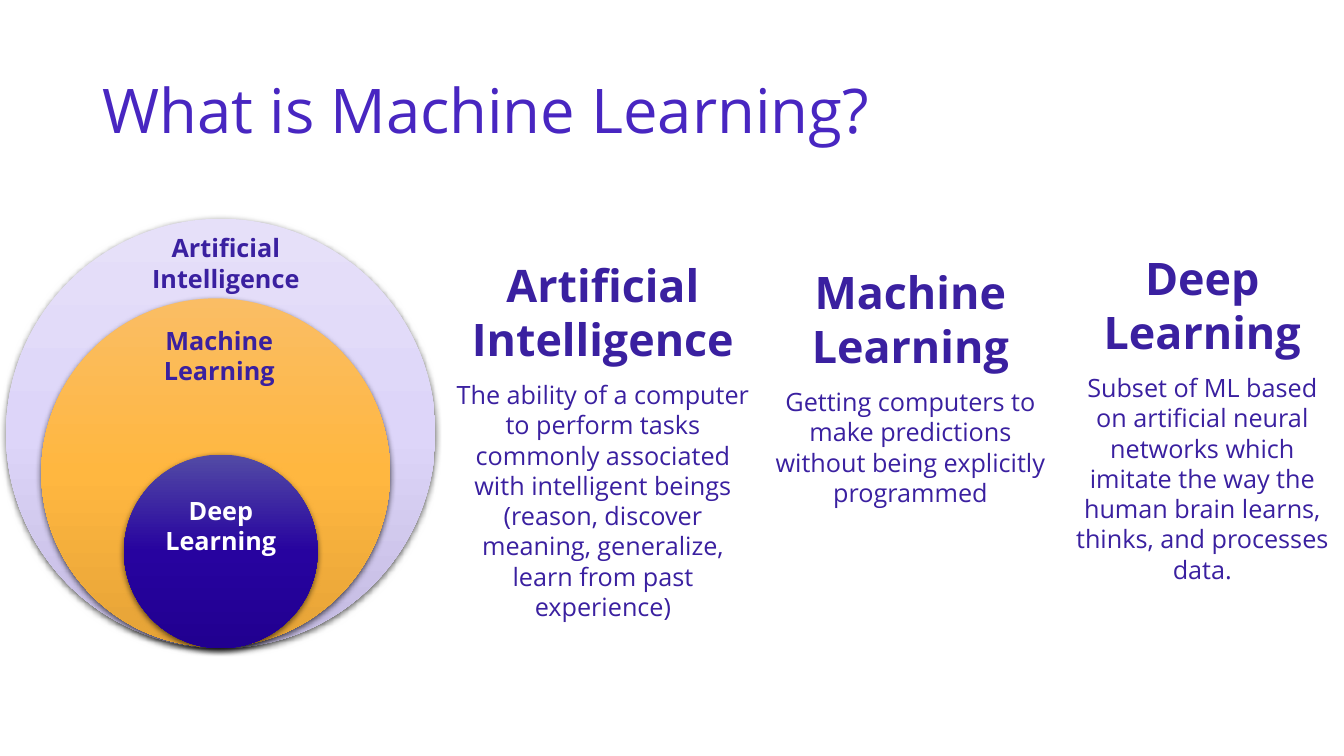
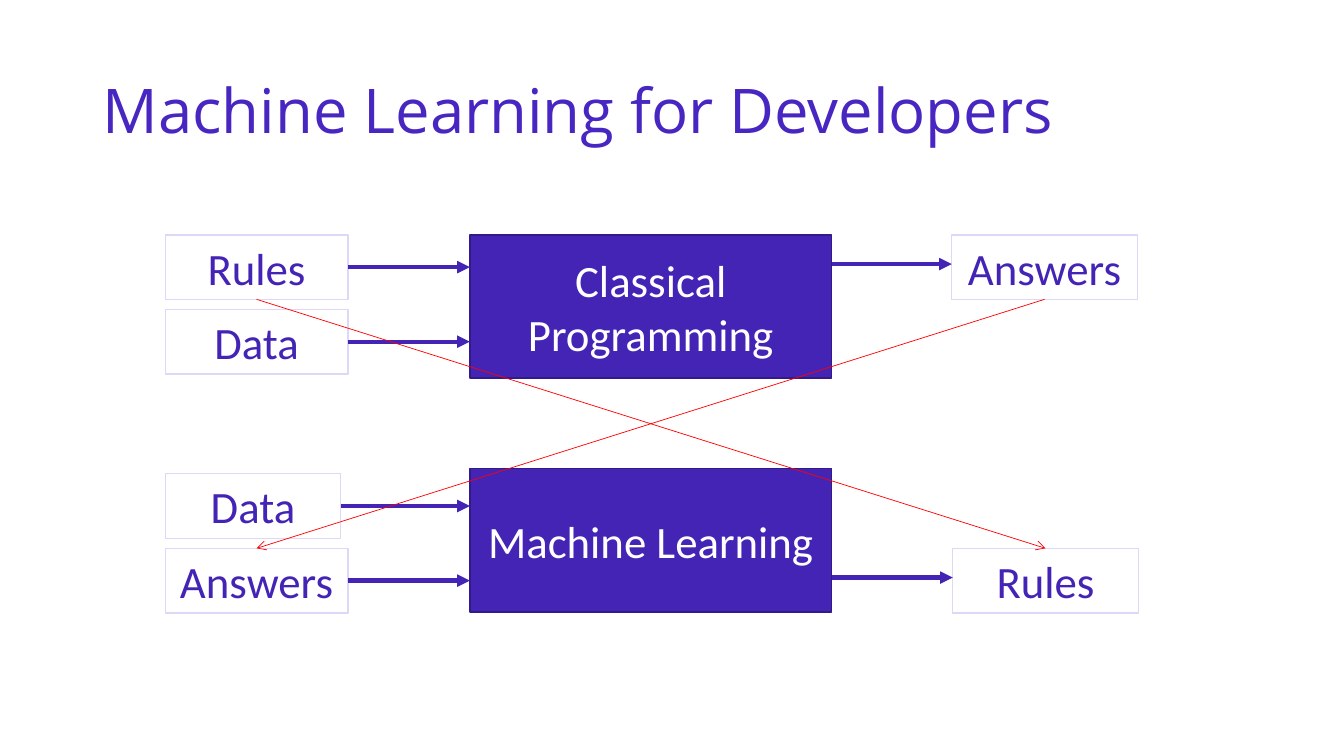
from lxml.etree import SubElement
from pptx import Presentation
from pptx.dml.color import RGBColor
from pptx.enum.shapes import MSO_CONNECTOR, MSO_SHAPE
from pptx.enum.text import MSO_ANCHOR, MSO_AUTO_SIZE, PP_ALIGN
from pptx.oxml import parse_xml
from pptx.oxml.ns import nsdecls, qn
from pptx.util import Pt

PX = 9144  # EMU per px, 100 px to the inch

COLORS = {
    "title": "4826C1", "ink": "3A20A0", "white": "FFFFFF",
    "violet": "4424B5", "violet_edge": "321B86", "pale_edge": "DED7F7",
    "swap": "FF0000", "shadow": "000000",
}
# Gradient stops at the top, middle and bottom of each circle
GRADIENTS = {
    "lavender": ("E6E0F9", "DDD5F9", "C3BAE0"),
    "amber": ("FABD64", "FFB740", "E5A337"),
    "indigo": ("534BA5", "27039F", "210090"),
}
# Per style: colour, font values, paragraph values
CENTER = {"alignment": PP_ALIGN.CENTER}
SPACED = {**CENTER, "space_after": Pt(10)}
BOLD_18 = {"name": "Open Sans", "size": Pt(18), "bold": True}
BOX_FONT = {"name": "Calibri", "size": Pt(32)}
TEXT_STYLES = {
    "title": ("title", {"name": "Open Sans", "size": Pt(44)},
              {"alignment": PP_ALIGN.LEFT, "line_spacing": 0.9}),
    "label": ("ink", BOLD_18, CENTER),
    "light_label": ("white", BOLD_18, CENTER),
    "heading": ("ink", {**BOLD_18, "size": Pt(32)}, SPACED),
    "definition": ("ink", {**BOLD_18, "bold": False}, SPACED),
    "process": ("white", BOX_FONT, CENTER),
    "value": ("violet", BOX_FONT, CENTER),
}
BOX_STYLES = {"process": ("violet", "violet_edge"), "value": ("white", "pale_edge")}
# Per style: colour, width in points, arrowhead
ARROW_STYLES = {"flow": ("violet", 3, "triangle"), "swap": ("swap", 0.5, "arrow")}
TOP, BOTTOM, RIGHT = 0, 2, 3  # connection sites of a rectangle


def rgb(color):
    return RGBColor.from_string(COLORS[color])


def apply(target, values):
    for attribute, value in values.items():
        setattr(target, attribute, value)


class Deck:
    """Holds the presentation, its style and the current slide."""

    def __init__(self):
        self.prs = Presentation()
        apply(self.prs, {"slide_width": 1333 * PX, "slide_height": 750 * PX})

    def new_slide(self, title):
        layout = self.prs.slide_layouts.get_by_name("Title Only")
        self.slide = self.prs.slides.add_slide(layout)
        heading = self.slide.shapes.title
        frame = {"left": 92, "top": 40, "width": 1150, "height": 145}
        apply(heading, {side: length * PX for side, length in frame.items()})
        self.fill_text(heading, [(title, "title")], MSO_ANCHOR.MIDDLE)

    def fill_text(self, shape, lines, anchor=MSO_ANCHOR.TOP):
        frame = shape.text_frame
        apply(frame, {"word_wrap": True, "auto_size": MSO_AUTO_SIZE.NONE,
                      "vertical_anchor": anchor})
        for index, (text, style) in enumerate(lines):
            color, font, layout = TEXT_STYLES[style]
            paragraph = frame.add_paragraph() if index else frame.paragraphs[0]
            apply(paragraph, layout)
            run = paragraph.add_run()
            run.text = text
            apply(run.font, font)
            run.font.color.rgb = rgb(color)

    def text(self, x, y, width, height, lines):
        box = self.slide.shapes.add_textbox(x * PX, y * PX, width * PX, height * PX)
        self.fill_text(box, lines)

    def shape(self, kind, x, y, width, height):
        shape = self.slide.shapes.add_shape(
            kind, x * PX, y * PX, width * PX, height * PX)
        shape.shadow.inherit = False
        return shape

    def box(self, x, y, width, height, text, style):
        box = self.shape(MSO_SHAPE.RECTANGLE, x, y, width, height)
        fill, edge = BOX_STYLES[style]
        box.fill.solid()
        box.fill.fore_color.rgb = rgb(fill)
        box.line.color.rgb = rgb(edge)
        box.line.width = Pt(1)
        self.fill_text(box, [(text, style)], MSO_ANCHOR.MIDDLE)
        return box

    def circle(self, center, bottom, diameter, gradient):
        circle = self.shape(MSO_SHAPE.OVAL, center - diameter // 2,
                            bottom - diameter, diameter, diameter)
        circle.line.fill.background()
        # Three-stop gradient, running downwards
        circle.fill.gradient()
        circle.fill.gradient_angle = 270
        properties = circle.element.spPr
        stop_list = properties.find(qn("a:gradFill")).find(qn("a:gsLst"))
        for stop in list(stop_list):
            stop_list.remove(stop)
        for position, color in zip((0, 50000, 100000), GRADIENTS[gradient]):
            stop = SubElement(stop_list, qn("a:gs"), pos=str(position))
            SubElement(stop, qn("a:srgbClr"), val=color)
        # Soft shadow below
        properties.find(qn("a:effectLst")).append(parse_xml(
            f'<a:outerShdw {nsdecls("a")} blurRad="{Pt(4.5)}" dist="{Pt(1.5)}" '
            f'dir="5400000" rotWithShape="0"><a:srgbClr val="{COLORS["shadow"]}">'
            '<a:alpha val="63000"/></a:srgbClr></a:outerShdw>'))

    def arrow(self, start, end, style):
        points = [length * PX for length in (*start, *end)]
        arrow = self.slide.shapes.add_connector(MSO_CONNECTOR.STRAIGHT, *points)
        color, width, head = ARROW_STYLES[style]
        arrow.line.color.rgb = rgb(color)
        arrow.line.width = Pt(width)
        properties = arrow.element.spPr
        SubElement(properties.find(qn("a:ln")), qn("a:tailEnd"), type=head)
        SubElement(properties, qn("a:effectLst"))
        return arrow


def definitions_slide(deck):
    deck.new_slide("What is Machine Learning?")

    # Nested circles: centre, bottom, diameter, gradient, then label
    rings = [
        (219, 643, 426, "lavender", (134, 226, 180, 71),
         ["Artificial Intelligence"], "label"),
        (214, 642, 346, "amber", (134, 318, 167, 71),
         ["Machine Learning"], "label"),
        (219, 643, 192, "indigo", (143, 486, 152, 71),
         ["Deep", "Learning"], "light_label"),
    ]
    for center, bottom, diameter, gradient, place, words, style in rings:
        deck.circle(center, bottom, diameter, gradient)
        deck.text(*place, [(word, style) for word in words])

    # Definition columns
    columns = [
        (442, 251, 312, "Artificial Intelligence",
         "The ability of a computer to perform tasks commonly associated with "
         "intelligent beings (reason, discover meaning, generalize, learn from "
         "past experience)"),
        (747, 258, 312, "Machine Learning",
         "Getting computers to make predictions without being explicitly programmed"),
        (1052, 244, 281, "Deep Learning",
         "Subset of ML based on artificial neural networks which imitate the way "
         "the human brain learns, thinks, and processes data."),
    ]
    for x, y, width, term, meaning in columns:
        deck.text(x, y, width, 370, [(term, "heading"), (meaning, "definition")])


def developers_slide(deck):
    deck.new_slide("Machine Learning for Developers")
    input_x, process_x, process_width, value_height = 164, 466, 359, 64

    # Pipelines: process and its top, inputs (name, top, width),
    # output (name, x, top), height of the output arrow
    pipelines = [
        ("Classical Programming", 233, [("Rules", 233, 181), ("Data", 307, 181)],
         ("Answers", 944, 233), 262),
        ("Machine Learning", 465, [("Data", 470, 174), ("Answers", 544, 181)],
         ("Rules", 945, 544), 573),
    ]
    inputs, outputs = {}, {}
    for process, top, sources, (result, result_x, result_y), flow_y in pipelines:
        deck.box(process_x, top, process_width, 142, process, "process")
        for name, y, width in sources:
            source = deck.box(input_x, y, width, value_height, name, "value")
            middle = y + value_height // 2
            flow = deck.arrow((input_x + width, middle), (process_x, middle), "flow")
            flow.begin_connect(source, RIGHT)
            inputs[process, name] = source
        outputs[result] = deck.box(
            result_x, result_y, 184, value_height, result, "value")
        deck.arrow((process_x + process_width, flow_y), (result_x, flow_y), "flow")

    # Rules and answers trade places
    swaps = [
        (inputs["Classical Programming", "Rules"], outputs["Rules"]),
        (outputs["Answers"], inputs["Machine Learning", "Answers"]),
    ]
    for before, after in swaps:
        swap = deck.arrow((0, 0), (0, 0), "swap")
        swap.begin_connect(before, BOTTOM)
        swap.end_connect(after, TOP)


def main():
    deck = Deck()
    definitions_slide(deck)
    developers_slide(deck)
    deck.prs.save("out.pptx")


if __name__ == "__main__":
    main()
